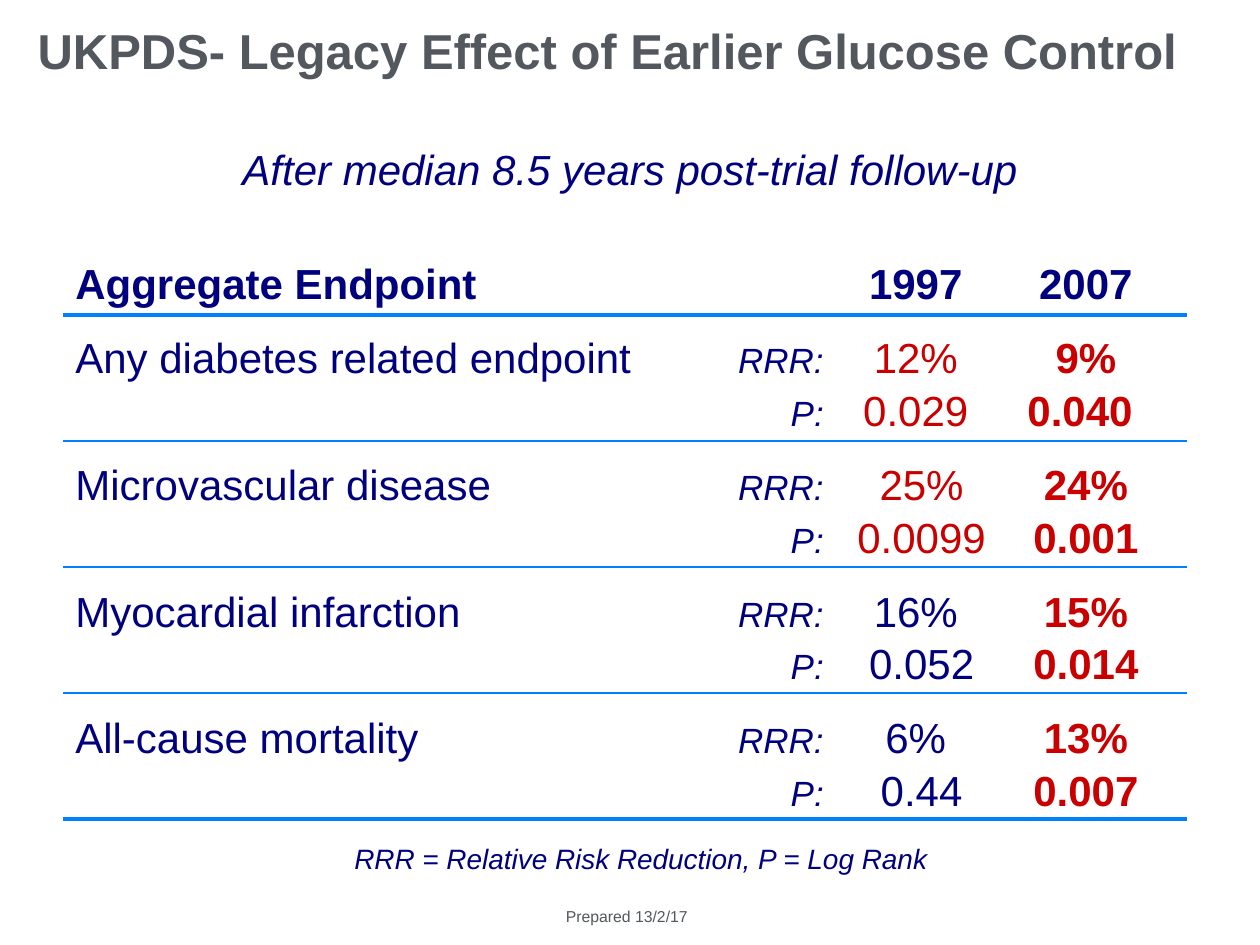
from dataclasses import dataclass

import pptx
import pptx.dml.color
import pptx.enum.shapes
import pptx.enum.text
import pptx.oxml
import pptx.oxml.ns
import pptx.util
from lxml import etree

ALIGN = pptx.enum.text.PP_ALIGN
ANCHOR = pptx.enum.text.MSO_ANCHOR


@dataclass(frozen=True)
class Theme:
    """Colours, type sizes and line widths of the slide."""
    font: str = "Arial"
    grey: str = "53575E"
    navy: str = "00007F"
    red: str = "CA0000"
    blue: str = "0080FF"
    title: int = 28
    body: int = 24
    label: int = 20
    note: int = 16
    footer: int = 9
    thick: float = 2.25
    thin: float = 0.75


THEME = Theme()
WIDTH, HEIGHT = 10, 7.5
TABS = ((5.94, "r"), (6.67, "ctr"), (8.02, "ctr"))
ENDPOINTS = (
    ("Any diabetes related endpoint", THEME.red, ("12%", "9%"), (" 0.029 ", "0.040 ")),
    ("Microvascular disease", THEME.red, (" 25%", "24%"), (" 0.0099", "0.001")),
    ("Myocardial infarction", THEME.navy, ("16%", "15%"), (" 0.052", "0.014")),
    ("All-cause mortality", THEME.navy, ("6%", "13%"), (" 0.44", "0.007")),
)


def add_run(p, text, size, color, bold=False, italic=False):
    """Append one formatted run to a paragraph."""
    r = p.add_run()
    r.text = text
    r.font.name = THEME.font
    r.font.size = pptx.util.Pt(size)
    r.font.bold = bold
    r.font.italic = italic
    r.font.color.rgb = pptx.dml.color.RGBColor.from_string(color)


def add_box(s, box, wrap=True, anchor=ANCHOR.TOP):
    """Add an empty text box and return its text frame."""
    tf = s.shapes.add_textbox(*(pptx.util.Inches(v) for v in box)).text_frame
    tf.word_wrap = wrap
    tf.vertical_anchor = anchor
    return tf


def add_line_of_text(s, box, text, size, color, align, **style):
    """Place a single line of text in a box."""
    wrap = style.pop("wrap", True)
    tf = add_box(s, box, wrap, ANCHOR.MIDDLE)
    p = tf.paragraphs[0]
    p.alignment = align
    add_run(p, text, size, color, **style)


def add_tabbed(tf, after):
    """Append a paragraph with the tab stops of the endpoint columns."""
    p = tf.add_paragraph()
    p.line_spacing = 1.05
    p.space_after = pptx.util.Pt(after)
    stops = etree.SubElement(p._p.get_or_add_pPr(), pptx.oxml.ns.qn("a:tabLst"))
    for position, align in TABS:
        etree.SubElement(stops, pptx.oxml.ns.qn("a:tab"),
                         pos=str(pptx.util.Inches(position)), algn=align)
    return p


def add_measure(tf, name, label, values, color, after):
    """Append one measure of an endpoint: its label and both years."""
    p = add_tabbed(tf, after)
    add_run(p, name + "\t", THEME.body, THEME.navy)
    add_run(p, label, THEME.label, THEME.navy, italic=True)
    add_run(p, "\t" + values[0] + "\t", THEME.body, color)
    add_run(p, values[1], THEME.body, THEME.red, bold=True)


def add_endpoints(s, box):
    """Place the subtitle and the tabbed list of endpoints."""
    tf = add_box(s, box)
    p = tf.paragraphs[0]
    p.alignment = ALIGN.CENTER
    p.line_spacing = 1.05
    p.space_after = pptx.util.Pt(THEME.body * 1.46)
    add_run(p, "After median 8.5 years post-trial follow-up",
            THEME.body, THEME.navy, italic=True)
    gap = THEME.body / 2
    p = add_tabbed(tf, gap)
    add_run(p, "Aggregate Endpoint\t\t1997\t2007", THEME.body, THEME.navy, bold=True)
    for name, color, reduction, rank in ENDPOINTS:
        add_measure(tf, name, "RRR:", reduction, color, 0)
        add_measure(tf, "", "P:", rank, color, gap)


def add_rules(s, box):
    """Divide a box into endpoint rows, with heavy outer rules."""
    left, top, width, height = box
    rows = len(ENDPOINTS)
    for i in range(rows + 1):
        y = top + height * i / rows
        rule = s.shapes.add_connector(
            pptx.enum.shapes.MSO_CONNECTOR.STRAIGHT,
            *(pptx.util.Inches(v) for v in (left, y, left + width, y)))
        rule.line.color.rgb = pptx.dml.color.RGBColor.from_string(THEME.blue)
        rule.line.width = pptx.util.Pt(THEME.thick if i in (0, rows) else THEME.thin)
        etree.SubElement(rule._element.spPr, pptx.oxml.ns.qn("a:effectLst"))


def main():
    """Build and save the slide."""
    prs = pptx.Presentation()
    prs.slide_width = pptx.util.Inches(WIDTH)
    prs.slide_height = pptx.util.Inches(HEIGHT)
    s = prs.slides.add_slide(prs.slide_layouts[6])
    margin = WIDTH * 0.05
    add_line_of_text(s, (0.2, 0.08, 9.69, 0.63),
                     "UKPDS- Legacy Effect of Earlier Glucose Control",
                     THEME.title, THEME.grey, ALIGN.LEFT, bold=True)
    add_endpoints(s, (margin, 1.07, WIDTH - 2 * margin, 5.39))
    add_rules(s, (margin, 2.5, 8.92, len(ENDPOINTS)))
    add_line_of_text(s, (2.54, 6.63, 4.92, 0.37),
                     "RRR = Relative Risk Reduction, P = Log Rank",
                     THEME.note, THEME.navy, ALIGN.RIGHT, italic=True)
    add_line_of_text(s, (4.39, 7.15, 1.17, 0.25), "Prepared 13/2/17",
                     THEME.footer, THEME.grey, ALIGN.CENTER, wrap=False)
    prs.save("out.pptx")


if __name__ == "__main__":
    main()
